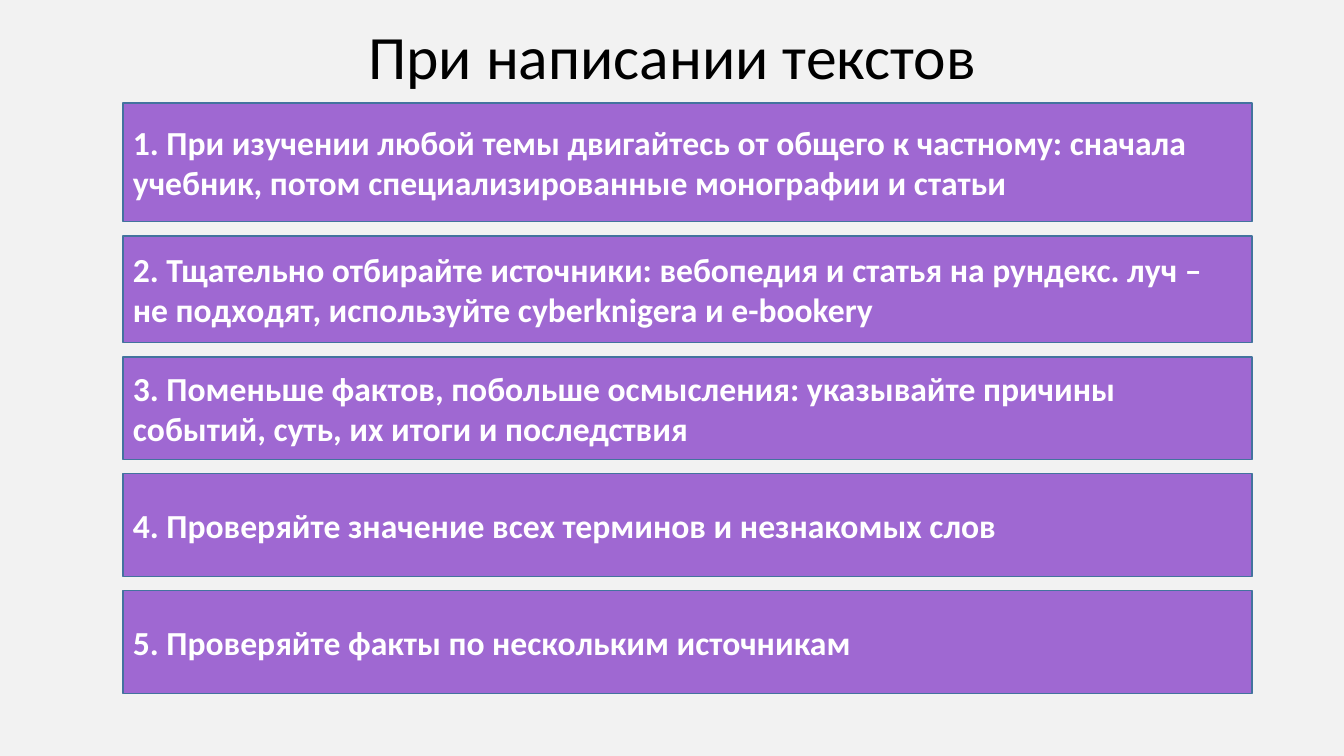
"""Build a slide with five numbered rules for writing texts."""
from pptx import Presentation
from pptx.dml.color import RGBColor
from pptx.enum.shapes import MSO_SHAPE as Shape
from pptx.enum.text import MSO_ANCHOR as Anchor, PP_ALIGN as Align
from pptx.util import Inches, Pt

TITLE = "При написании текстов"
RULES = [
    (1.18, "1. При изучении любой темы двигайтесь от общего к частному: сначала "
           "учебник, потом специализированные монографии и статьи"),
    (1.06, "2. Тщательно отбирайте источники: вебопедия и статья на рундекс. луч –\n"
           "не подходят, используйте cyberknigera и e-bookery"),
    (1.02, "3. Поменьше фактов, побольше осмысления: указывайте причины событий, "
           "суть, их итоги и последствия"),
    (1.02, "4. Проверяйте значение всех терминов и незнакомых слов"),
    (1.02, "5. Проверяйте факты по нескольким источникам"),
]
COLORS = {"background": "F2F2F2", "bar": "9F68D2", "outline": "43739E",
          "title": "000000", "text": "FFFFFF"}
FONT = "Calibri"
WIDTH, HEIGHT = 13.33, 7.5
TITLE_BOX = (0.92, 0, 11.5, 1.19)
BAR_LEFT, BAR_TOP, BAR_WIDTH, BAR_GAP = 1.22, 1.02, 11.2, 0.14


def color(name):
    """Return the palette colour with this name."""
    return RGBColor.from_string(COLORS[name])


def write(shape, text, size, ink, bold=False, align=Align.LEFT, spacing=1.0):
    """Fill a shape with formatted paragraphs, one for each line."""
    frame = shape.text_frame
    frame.text = text
    frame.word_wrap = True
    frame.vertical_anchor = Anchor.MIDDLE
    for paragraph in frame.paragraphs:
        paragraph.alignment = align
        paragraph.line_spacing = spacing
        for run in paragraph.runs:
            run.font.name = FONT
            run.font.size = Pt(size)
            run.font.bold = bold
            run.font.color.rgb = color(ink)


def add_bar(slide, top, height, text):
    """Add one rule as a full-width bar."""
    bar = slide.shapes.add_shape(
        Shape.RECTANGLE, *map(Inches, (BAR_LEFT, top, BAR_WIDTH, height)))
    bar.shadow.inherit = False
    bar.fill.solid()
    bar.fill.fore_color.rgb = color("bar")
    bar.line.color.rgb = color("outline")
    bar.line.width = Pt(1)
    write(bar, text, 24, "text", bold=True)


def main():
    """Build and save the presentation."""
    presentation = Presentation()
    presentation.slide_width = Inches(WIDTH)
    presentation.slide_height = Inches(HEIGHT)
    slide = presentation.slides.add_slide(presentation.slide_layouts[5])
    slide.background.fill.solid()
    slide.background.fill.fore_color.rgb = color("background")

    title = slide.shapes.title
    title.left, title.top, title.width, title.height = map(Inches, TITLE_BOX)
    write(title, TITLE, 44, "title", align=Align.CENTER, spacing=0.9)

    top = BAR_TOP
    for height, text in RULES:
        add_bar(slide, top, height, text)
        top += height + BAR_GAP

    presentation.save("out.pptx")


if __name__ == "__main__":
    main()
